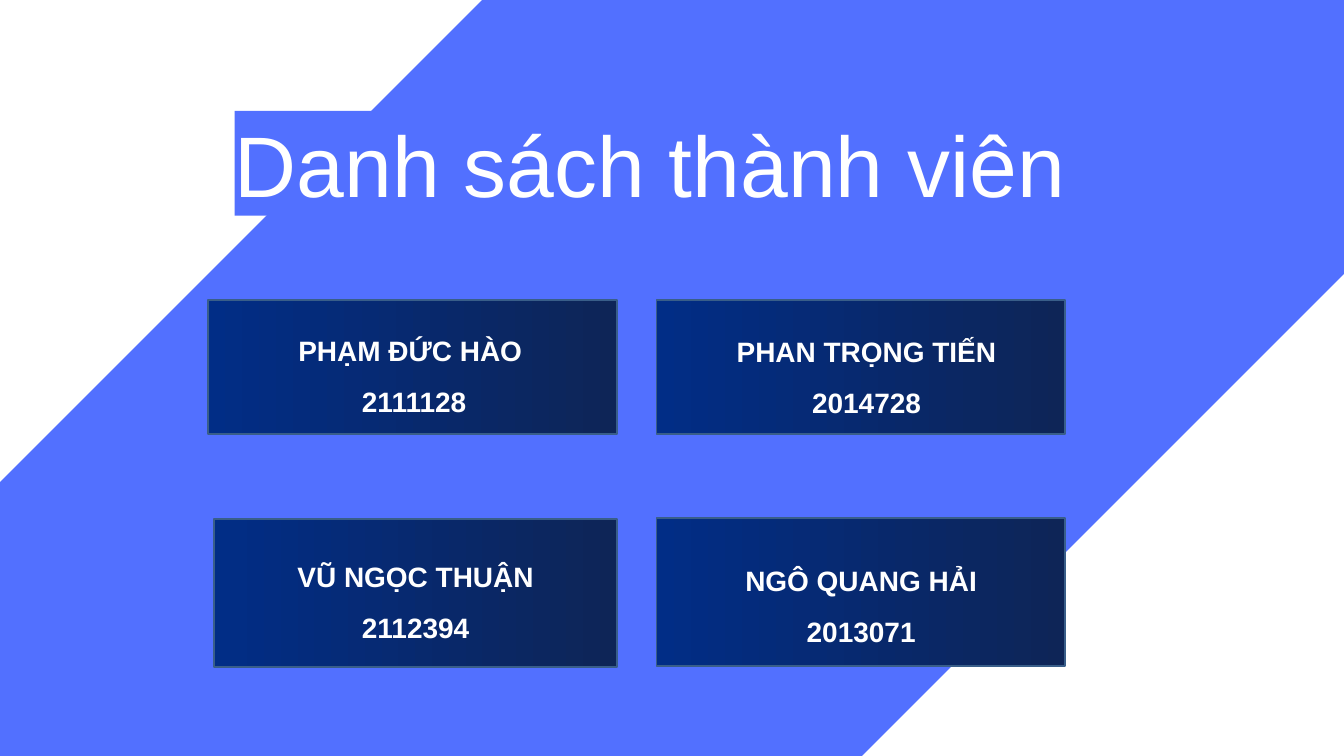
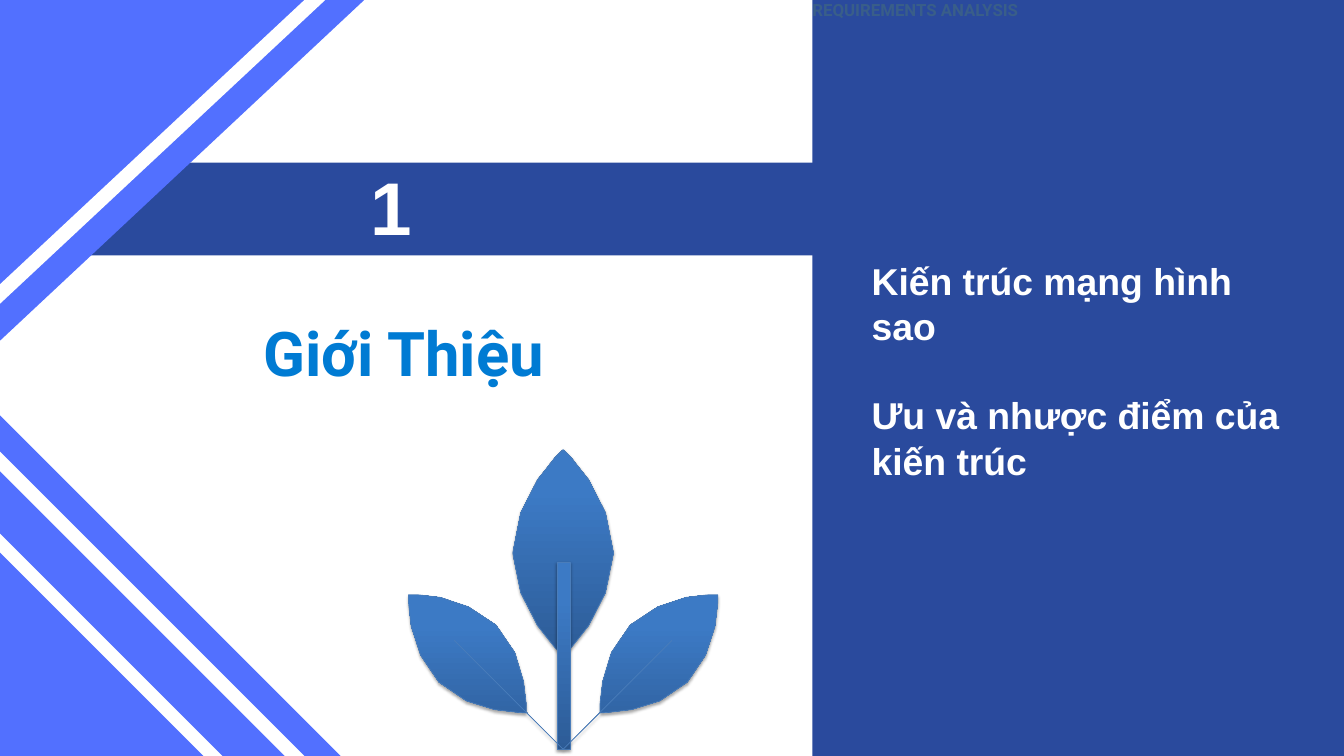
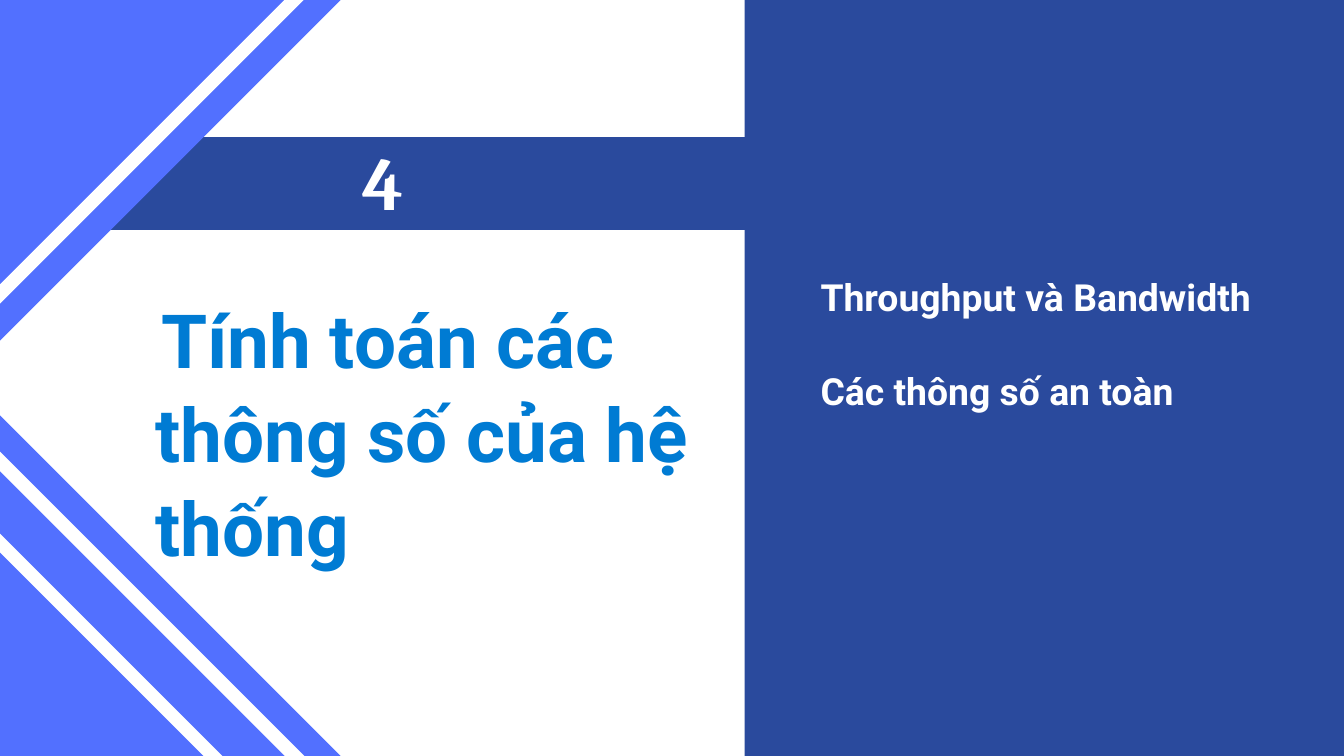
from dataclasses import dataclass

from lxml import etree
from pptx import Presentation
from pptx.dml.color import RGBColor
from pptx.enum.shapes import MSO_SHAPE
from pptx.enum.text import PP_ALIGN
from pptx.oxml.ns import qn
from pptx.util import Pt

PX = 9144  # EMU per px, at 100 px to the inch
WIDTH, HEIGHT = 2000, 1125
BLANK_LAYOUT = 6
RECTANGLE = MSO_SHAPE.RECTANGLE
LEFT, CENTER = PP_ALIGN.LEFT, PP_ALIGN.CENTER

# Corner of the slide, then the direction along each edge
TOP_LEFT = (0, 0, 1, 1)
BOTTOM_LEFT = (0, HEIGHT, 1, -1)
BOTTOM_RIGHT = (WIDTH, HEIGHT, -1, -1)


@dataclass(frozen=True)
class Theme:
    white: str = "FFFFFF"
    accent: str = "5270FF"
    navy: str = "2A4A9D"
    heading: str = "007BD3"
    muted: str = "395E89"
    card_start: str = "012D86"
    card_end: str = "0E2557"
    leaf_dark: str = "2D5C97"
    leaf_light: str = "3C7AC5"
    leaf_line: str = "4A7DBA"
    sans: str = "Arial"
    display: str = "Roboto"
    serif: str = "Cambria"
    title_size: int = 92
    number_size: int = 80
    heading_size: int = 66
    topic_size: int = 40
    card_size: int = 30
    label_size: int = 18


THEME = Theme()


def rgb(value):
    return RGBColor.from_string(value)


def style(shape, fill=None, line=None, line_width=1):
    shape.shadow.inherit = False
    if fill:
        shape.fill.solid()
        shape.fill.fore_color.rgb = rgb(fill)
    if line:
        shape.line.color.rgb = rgb(line)
        shape.line.width = Pt(line_width)
    else:
        shape.line.fill.background()


def set_gradient(shape, start, end, angle=0, end_position=1.0):
    shape.fill.gradient()
    shape.fill.gradient_angle = angle
    first, last = shape.fill.gradient_stops
    first.color.rgb, last.color.rgb = rgb(start), rgb(end)
    first.position, last.position = 0, end_position


def add_shadow(shape):
    effects = shape._element.spPr.find(qn("a:effectLst"))
    shadow = etree.SubElement(effects, qn("a:outerShdw"), blurRad=str(Pt(3.1)),
                              dist=str(Pt(1.8)), dir="5400000", rotWithShape="0")
    colour = etree.SubElement(shadow, qn("a:srgbClr"), val="000000")
    etree.SubElement(colour, qn("a:alpha"), val="35000")


def add_rectangle(slide, box, fill=None, **line):
    shape = slide.shapes.add_shape(RECTANGLE, *(value * PX for value in box))
    style(shape, fill, **line)
    return shape


def add_outline(slide, *contours):
    """Draw one freeform from (points, closed) contours."""
    builder = None
    for points, closed in contours:
        if builder is None:
            builder = slide.shapes.build_freeform(*points[0], scale=PX)
        else:
            builder.move_to(*points[0])
        builder.add_line_segments(points[1:], close=closed)
    return builder.convert_to_shape()


def add_text(slide, box, paragraphs, *, size, font=THEME.sans, colour=THEME.white,
             bold=True, align=LEFT, top_inset=1, before=0, gap=0, line_spacing=None,
             first_indent=0, fill=None):
    """Write paragraphs; before precedes the first one, gap each later one."""
    shape = slide.shapes.add_textbox(*(value * PX for value in box))
    if fill:
        style(shape, fill)
    frame = shape.text_frame
    frame.word_wrap = True
    frame.margin_left = frame.margin_right = frame.margin_bottom = 0
    frame.margin_top = top_inset * PX
    for index, text in enumerate(paragraphs):
        paragraph = frame.paragraphs[0] if index == 0 else frame.add_paragraph()
        paragraph.alignment = align
        gaps = gap if isinstance(gap, tuple) else (gap,) * len(paragraphs)
        paragraph.space_before = Pt(gaps[index - 1] if index else before)
        if line_spacing:
            paragraph.line_spacing = line_spacing
        if first_indent:
            paragraph._p.get_or_add_pPr().set("indent", str(first_indent * PX))
        run = paragraph.add_run()
        run.text = text
        run.font.name, run.font.size, run.font.bold = font, Pt(size), bold
        run.font.color.rgb = rgb(colour)
    return shape


def add_corner_band(slide, corner, outer, inner, colour, stretch=1):
    """Cut a diagonal band off a corner; an inner edge of 0 gives a triangle."""
    x, y, dx, dy = corner

    def across(reach):
        return x + dx * round(reach * stretch), y

    def down(reach):
        return x, y + dy * reach

    inner_edge = [across(inner), down(inner)] if inner else [(x, y)]
    style(add_outline(slide, ([down(outer), across(outer), *inner_edge], True)), colour)


def add_member_card(slide, box, text_offset, name, number):
    card = add_rectangle(slide, box, line=THEME.muted, line_width=2)
    set_gradient(card, THEME.card_start, THEME.card_end)
    left, top = box[:2]
    add_text(slide, (left + text_offset[0], top + text_offset[1], 443, 154),
             [name, number], size=THEME.card_size, align=CENTER, top_inset=27, gap=18.5)


def add_plant(slide, box):
    left, top, width, height = box
    axis = left + width // 2

    def place(points, side=1):
        return [(axis + side * x, top + y) for x, y in points]

    half_leaf = [(0, 0), (12, 12), (38, 45), (63, 94), (75, 154),
                 (63, 213), (38, 262), (12, 295), (0, 307)]
    side_leaf = [(100, 261), (72, 302), (59, 345), (55, 378), (55, 392), (68, 391),
                 (102, 387), (144, 374), (185, 346), (212, 306), (226, 263),
                 (230, 229), (230, 216), (217, 216), (183, 220), (141, 234)]
    vein = [(162, 284), (0, height)]

    upright = place(half_leaf) + place(half_leaf[-2:0:-1], -1)
    side_contours = [contour for side in (-1, 1)
                     for contour in ((place(side_leaf, side), True),
                                     (place(vein, side), False))]
    parts = [
        add_outline(slide, (upright, True)),
        add_rectangle(slide, (axis - 9, top + 168, 19, height - 168)),
        add_outline(slide, *side_contours),
    ]
    for part in parts:
        style(part, line=THEME.leaf_line, line_width=0.75)
        set_gradient(part, THEME.leaf_dark, THEME.leaf_light, angle=90, end_position=0.8)
        add_shadow(part)


def add_section_frame(slide, band, panel_left, stretch=1):
    """Draw the number band, the striped left corners and the topic panel."""
    add_rectangle(slide, band, THEME.navy)
    add_corner_band(slide, TOP_LEFT, 507, 0, THEME.accent, stretch)
    add_corner_band(slide, TOP_LEFT, 452, 423, THEME.white, stretch)
    for outer, inner, colour in ((507, 0, THEME.accent), (453, 424, THEME.white),
                                 (385, 0, THEME.accent), (331, 303, THEME.white)):
        add_corner_band(slide, BOTTOM_LEFT, outer, inner, colour)
    add_rectangle(slide, (panel_left, 0, WIDTH - panel_left, HEIGHT), THEME.navy)


def build_members(slide):
    add_rectangle(slide, (0, 0, WIDTH, HEIGHT), THEME.accent)
    for corner in (BOTTOM_RIGHT, TOP_LEFT):
        add_corner_band(slide, corner, 717, 0, THEME.white)
    add_text(slide, (349, 165, 1302, 156), ["Danh sách thành viên"],
             size=THEME.title_size, bold=False, fill=THEME.accent)
    members = [
        ((310, 447, 608, 199), (79, 22), "PHẠM ĐỨC HÀO", " 2111128"),
        ((318, 772, 600, 220), (79, 34), "VŨ NGỌC THUẬN", "2112394"),
        ((977, 446, 608, 200), (91, 25), "PHAN TRỌNG TIẾN", "2014728"),
        ((977, 771, 608, 220), (83, 41), "NGÔ QUANG HẢI", "2013071"),
    ]
    for member in members:
        add_member_card(slide, *member)


def build_introduction(slide):
    panel_left = 1209
    add_section_frame(slide, (33, 242, 1365, 138), panel_left, stretch=1.07)
    add_text(slide, (panel_left, 0, 400, 30), ["REQUIREMENTS ANALYSIS"],
             size=THEME.label_size, font=THEME.display, colour=THEME.muted, top_inset=0)
    add_text(slide, (392, 468, 795, 225), ["Giới Thiệu"], size=THEME.heading_size,
             font=THEME.display, colour=THEME.heading)
    add_text(slide, (552, 239, 47, 136), ["1"], size=THEME.number_size)
    add_plant(slide, (608, 669, 460, 446))
    add_text(slide, (panel_left + 88, 383, 608, 275),
             ["Kiến trúc mạng hình sao", "Ưu và nhược điểm của", "kiến trúc"],
             size=THEME.topic_size, before=1, gap=(48, 1))


def build_calculation(slide):
    panel_left = 1108
    add_section_frame(slide, (30, 204, 1091, 138), panel_left)
    add_text(slide, (231, 411, 807, 443), ["Tính toán các thông số của hệ thống"],
             size=THEME.number_size, font=THEME.display, colour=THEME.heading,
             top_inset=19, before=13.8, line_spacing=1.05, first_indent=9)
    add_text(slide, (540, 201, 67, 136), ["4"], size=THEME.number_size, font=THEME.serif)
    add_text(slide, (panel_left + 104, 386, 788, 231),
             ["Throughput và Bandwidth", "Các thông số an toàn"],
             size=THEME.topic_size, font=THEME.display, top_inset=19, gap=50,
             line_spacing=1.05, first_indent=9)


def main():
    presentation = Presentation()
    presentation.slide_width, presentation.slide_height = WIDTH * PX, HEIGHT * PX
    for build in (build_members, build_introduction, build_calculation):
        build(presentation.slides.add_slide(presentation.slide_layouts[BLANK_LAYOUT]))
    presentation.save("out.pptx")


if __name__ == "__main__":
    main()
